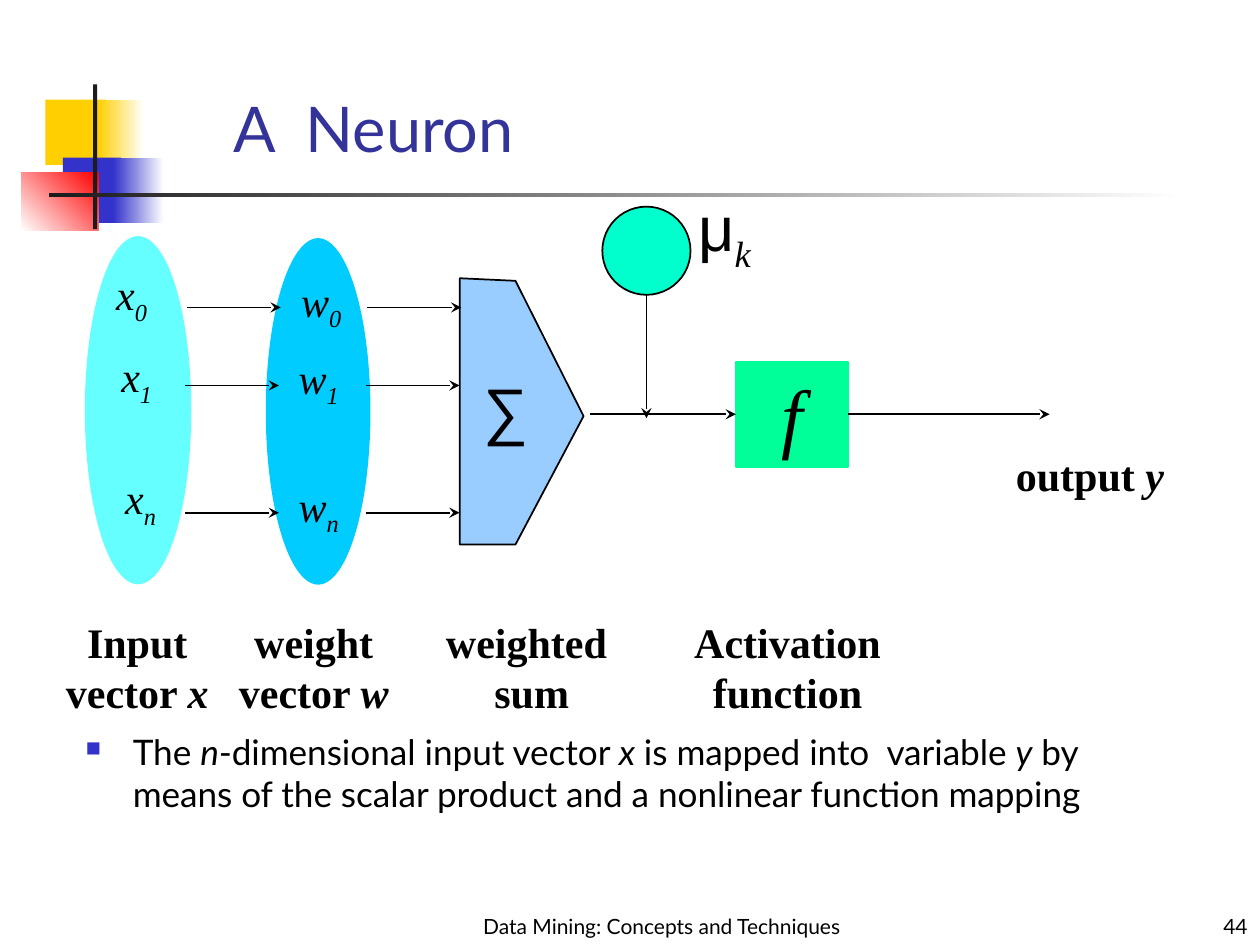
from lxml.etree import SubElement
from pptx import Presentation
from pptx.dml.color import RGBColor
from pptx.enum.shapes import MSO_CONNECTOR as Connector, MSO_SHAPE as Shape
from pptx.enum.text import MSO_ANCHOR as Anchor, PP_ALIGN as Align
from pptx.oxml.ns import qn
from pptx.util import Pt

COLORS = {
    "black": "000000", "white": "FFFFFF", "title": "333399", "yellow": "FFCF01",
    "blue": "3333CC", "red": "FF0000", "bar": "1C1C1C", "inputs": "66FFFF",
    "weights": "00CCFF", "sum": "99CCFF", "activation": "00FF99", "bias": "00FFCC",
}
SERIF = "Times New Roman"
ITALIC, SUBSCRIPT = "i", "is"

DECORATION = [
    ((25.9, 56.9, 34.6, 37.4), "yellow", None, 0),
    ((56.2, 56.9, 25.9, 37.4), "yellow", "white", 0),
    ((36, 90, 33.1, 37.4), "blue", None, 0),
    ((64.8, 90, 28.8, 37.4), "blue", "white", 0),
    ((12.2, 98.6, 43.9, 33.1), "white", "red", 45),
    ((53.3, 48.2, 2.2, 82.8), "bar", None, 0),
    ((28.1, 110.2, 648, 2.2), "bar", "white", 0),
]
ROWS = [
    ("0", 175.7, (59, 154.1), (164.9, 157.7), 1),
    ("1", 220.3, (61.9, 200.9), (163.4, 201.6), 0),
    ("n", 293, (64.1, 270.7), (163.4, 275), 0),
]
ARROW_STARTS, ARROW_LENGTH = (105.8, 209), 53.6
CAPTIONS = [
    (30.2, 96.5, [[("Input", "")], [("vector ", ""), ("x", ITALIC)]]),
    (128.9, 100.8, [[("weight", "")], [("vector ", ""), ("w", ITALIC)]]),
    (247.7, 112.3, [[("weighted ", "")], [("sum", "")]]),
    (389.5, 121, [[("Activation", "")], [("function", "")]]),
]
SUM_OUTLINE = [(262.8, 159), (262.8, 311.2), (294.6, 311.2), (333.5, 237.8), (294.6, 160.5)]
SUMMARY = [[
    ("The ", ""), ("n", ITALIC), ("-dimensional input vector ", ""), ("x", ITALIC),
    (" is mapped into  variable ", ""), ("y", ITALIC),
    (" by means of the scalar product and a nonlinear function mapping", ""),
]]
AXIS = 236.7


def color(name):
    return RGBColor.from_string(COLORS[name])


def write(shape, paragraphs, size=24, font=SERIF, ink="black", bold=False,
          align=Align.CENTER, anchor=Anchor.TOP, wrap=False, bullet=False):
    frame = shape.text_frame
    frame.word_wrap = wrap
    frame.vertical_anchor = anchor
    for index, runs in enumerate(paragraphs):
        paragraph = frame.add_paragraph() if index else frame.paragraphs[0]
        paragraph.alignment = align
        paragraph.line_spacing = Pt(round(size * 1.2, 1))
        if bullet:
            properties = paragraph._p.get_or_add_pPr()
            properties.set("marL", str(Pt(27)))
            properties.set("indent", str(-Pt(27)))
            bullet_color = SubElement(properties, qn("a:buClr"))
            SubElement(bullet_color, qn("a:srgbClr"), val=COLORS["blue"])
            SubElement(properties, qn("a:buSzPct"), val="60000")
            SubElement(properties, qn("a:buChar"), char="■")
        for text, style in runs:
            run = paragraph.add_run()
            run.text = text
            run.font.size = Pt(size)
            run.font.name = SERIF if style == SUBSCRIPT else font
            run.font.color.rgb = color(ink)
            run.font.bold = bold
            run.font.italic = "i" in style
            if "s" in style:
                run.font._element.set("baseline", "-25000")


def add_text(box, paragraphs, **formatting):
    write(slide.shapes.add_textbox(*map(Pt, box)), paragraphs, **formatting)


def paint(shape, fill, outline=None):
    shape.shadow.inherit = False
    shape.fill.solid()
    shape.fill.fore_color.rgb = color(fill)
    if outline:
        shape.line.color.rgb = color(outline)
        shape.line.width = Pt(1)
    else:
        shape.line.fill.background()
    return shape


def add_shape(kind, box, fill, outline=None):
    return paint(slide.shapes.add_shape(kind, *map(Pt, box)), fill, outline)


def add_arrow(*ends):
    arrow = slide.shapes.add_connector(Connector.STRAIGHT, *map(Pt, ends))
    arrow.line.color.rgb = color("black")
    arrow.line.width = Pt(1)
    SubElement(arrow.line._get_or_add_ln(), qn("a:tailEnd"), type="stealth")
    SubElement(arrow._element.spPr, qn("a:effectLst"))
    return arrow


presentation = Presentation()
presentation.slide_width, presentation.slide_height = Pt(720), Pt(540)
slide = presentation.slides.add_slide(presentation.slide_layouts[5])

for box, start, end, angle in DECORATION:
    block = add_shape(Shape.RECTANGLE, box, start)
    if end:
        block.fill.gradient()
        block.fill.gradient_angle = angle
        for stop, name in zip(block.fill.gradient_stops, (start, end)):
            stop.color.rgb = color(name)

title = slide.shapes.title
title.left, title.top, title.width, title.height = map(Pt, (126, 58.3, 427, 39.6))
write(title, [[("A  Neuron", "")]], size=36, font="Lato", ink="title",
      align=Align.LEFT, anchor=Anchor.BOTTOM, wrap=True)
add_text((41.8, 414, 635.8, 84.2), SUMMARY, size=20.1, font="Lato",
         align=Align.LEFT, wrap=True, bullet=True)
for box, text, align in [
    ((264.2, 509.8, 228.2, 30.2), "Data Mining: Concepts and Techniques", Align.CENTER),
    ((570.2, 509.8, 149.8, 30.2), "44", Align.RIGHT),
]:
    add_text(box, [[(text, "")]], size=12, font="Lato", align=align,
             anchor=Anchor.BOTTOM, wrap=True)

add_shape(Shape.OVAL, (151.9, 136.1, 59.8, 198), "weights")
add_shape(Shape.OVAL, (49, 135.4, 59.8, 198), "inputs", "inputs")

builder = slide.shapes.build_freeform(*map(Pt, SUM_OUTLINE[0]))
builder.add_line_segments([(Pt(x), Pt(y)) for x, y in SUM_OUTLINE[1:]], close=True)
paint(builder.convert_to_shape(), "sum", "black")
add_text((269.3, 208.1, 39.6, 50.4), [[("∑", "")]], size=36, font="Arial")

for subscript, y, input_corner, weight_corner, shift in ROWS:
    for start in ARROW_STARTS:
        add_arrow(start + shift, y, start + shift + ARROW_LENGTH, y)
    for letter, corner, width in (("x", input_corner, 32.4), ("w", weight_corner, 37.4)):
        add_text((*corner, width, 40.3), [[(letter, ITALIC), (subscript, SUBSCRIPT)]])

activation = add_shape(Shape.RECTANGLE, (420.5, AXIS - 30, 64.1, 60), "activation", "activation")
write(activation, [[("f", ITALIC)]], size=44, wrap=True)
add_arrow(337, AXIS, 420.5, AXIS).end_connect(activation, 1)
add_arrow(484.6, AXIS, 599.8, AXIS).begin_connect(activation, 3)

add_shape(Shape.OVAL, (344.2, 118.1, 50.4, 50.4), "bias", "black")
add_arrow(369.4, 168.5, 369.4, 239)
add_text((391.7, 110.2, 44.6, 56.2), [[("μ", ""), ("k", SUBSCRIPT)]], size=36, font="Arial")

for left, width, lines in CAPTIONS:
    add_text((left, 348.5, width, 64.8), lines, bold=True)
add_text((573.1, 253.4, 99.4, 36), [[("output ", ""), ("y", ITALIC)]], bold=True)

presentation.save("out.pptx")
